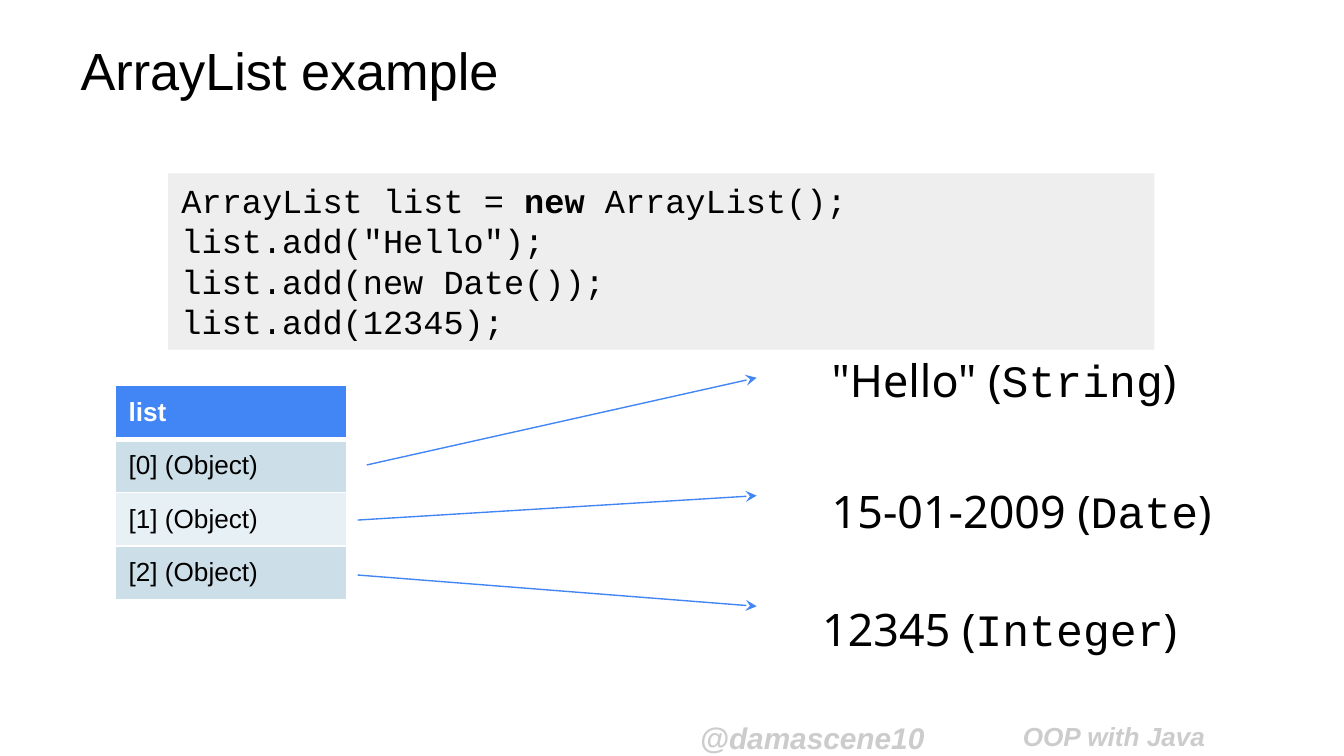
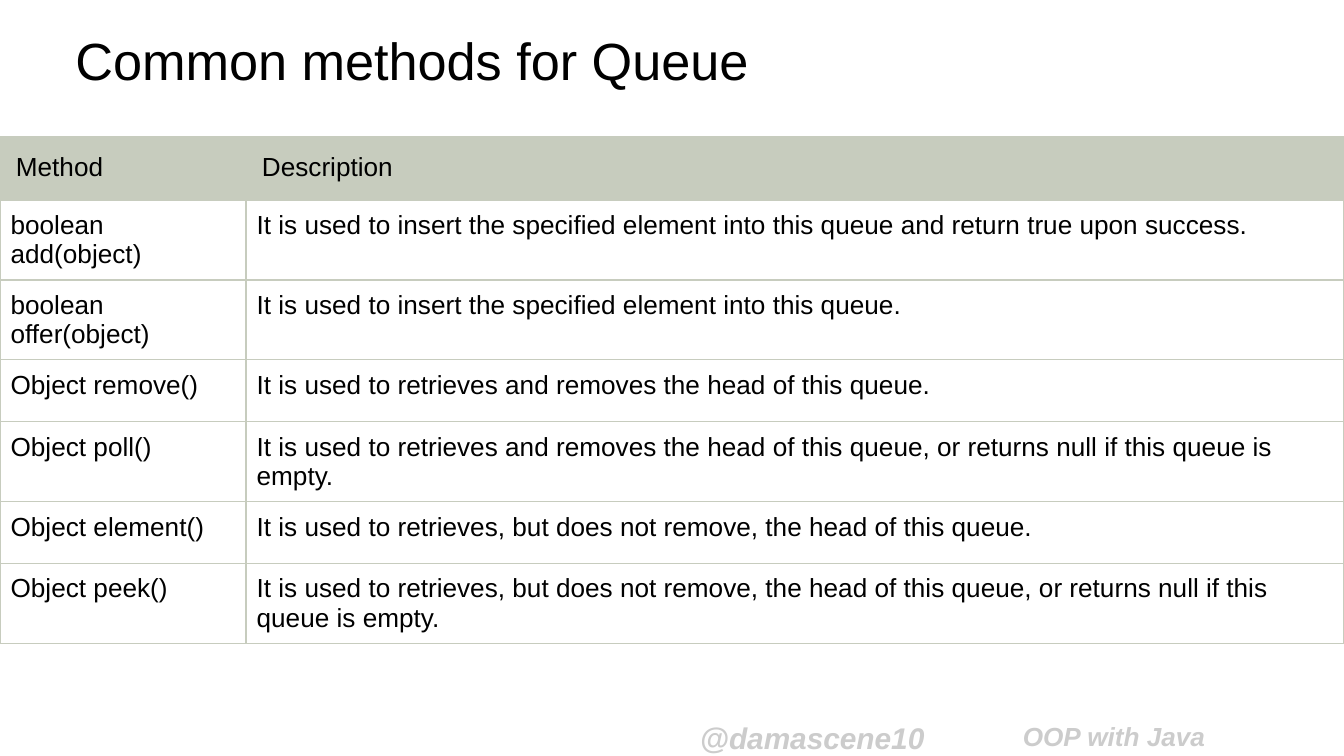
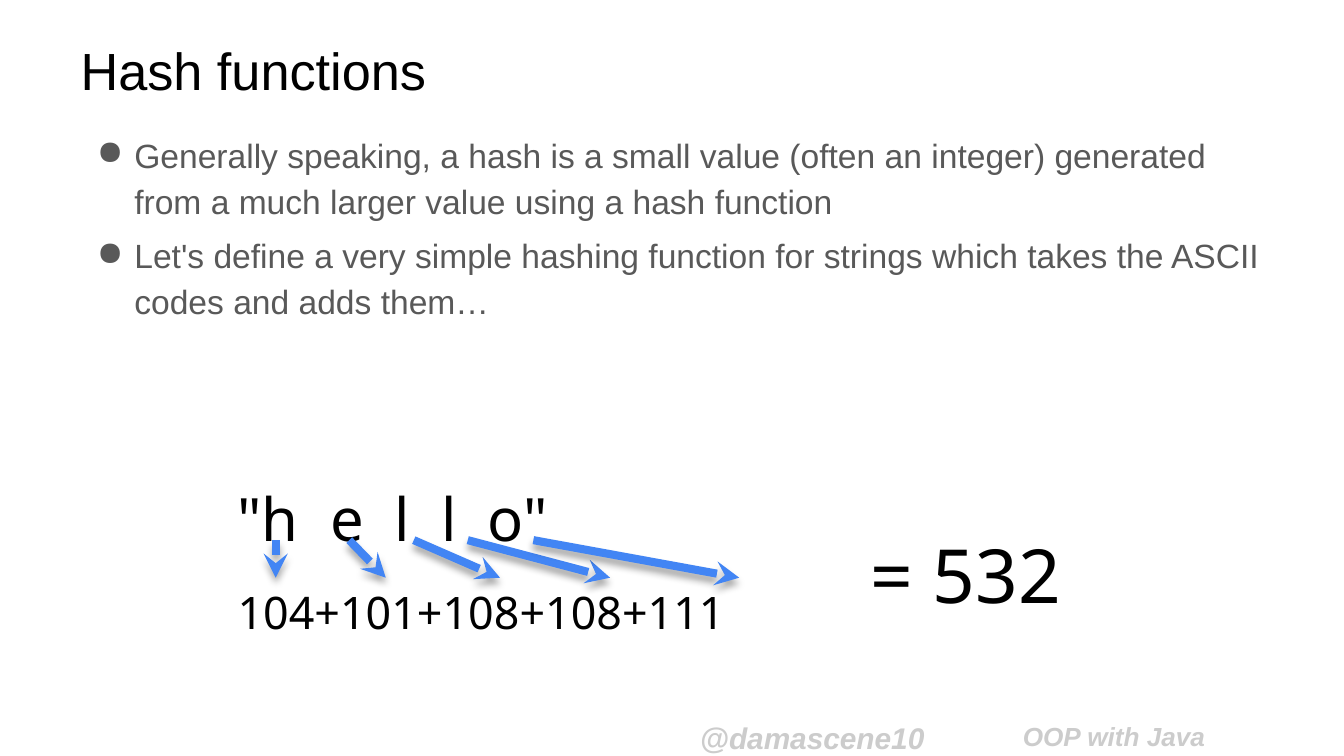
"""Build three slides on Java collections: ArrayList, Queue methods and hash functions."""
import lxml.etree
import pptx
import pptx.dml.color
import pptx.enum.shapes
import pptx.enum.text
import pptx.oxml.ns
import pptx.util

Cm = pptx.util.Cm
Pt = pptx.util.Pt
RGBColor = pptx.dml.color.RGBColor
qn = pptx.oxml.ns.qn
Anchor = pptx.enum.text.MSO_ANCHOR
AutoSize = pptx.enum.text.MSO_AUTO_SIZE

BLACK = RGBColor(0x00, 0x00, 0x00)
WHITE = RGBColor(0xFF, 0xFF, 0xFF)
BLUE = RGBColor(0x42, 0x85, 0xF4)
BODY_GRAY = RGBColor(0x59, 0x59, 0x59)
FOOTER_GRAY = RGBColor(0xCC, 0xCC, 0xCC)
CODE_GRAY = RGBColor(0xEE, 0xEE, 0xEE)
SAGE = RGBColor(0xC7, 0xCC, 0xBE)
BAND_DARK = RGBColor(0xCC, 0xDF, 0xE8)
BAND_LIGHT = RGBColor(0xE7, 0xF0, 0xF4)

SANS = "Arial"
MONO = "Courier New"
NOTO = "Noto Sans"


def add_xml(parent, tag, **attributes):
    return lxml.etree.SubElement(parent, qn(tag), attributes)


def add_color(parent, color, tag="a:solidFill"):
    return add_xml(add_xml(parent, tag), "a:srgbClr", val=str(color))


class Deck:
    """Shared style and the current slide."""

    def __init__(self):
        self.presentation = pptx.Presentation()
        self.presentation.slide_width = Cm(25.4)
        self.presentation.slide_height = Cm(14.29)
        self.slide = None

    def start_slide(self, heading, left=1.27, top=0.43, height=1.78):
        self.slide = self.presentation.slides.add_slide(self.presentation.slide_layouts[5])
        title = self.slide.shapes.title
        title.left, title.top, title.width, title.height = Cm(left), Cm(top), Cm(22.86), Cm(height)
        self.set_text(title.text_frame, [heading], 28)
        title.text_frame.vertical_anchor = Anchor.MIDDLE
        title.text_frame.auto_size = AutoSize.NONE

    def set_text(self, frame, lines, size, font=SANS, color=BLACK, bold=False, italic=False):
        """Fill a frame; a line is a string or a list of (text, changed font settings)."""
        frame.word_wrap = True
        frame.text = "\n".join(
            line if isinstance(line, str) else "" for line in lines)
        for paragraph, line in zip(frame.paragraphs, lines):
            paragraph.alignment = pptx.enum.text.PP_ALIGN.LEFT
            changes = [{}]
            if not isinstance(line, str):
                changes = [change for _, change in line]
                for text, _ in line:
                    paragraph.add_run().text = text
            for run, change in zip(paragraph.runs, changes):
                run.font.size = Pt(size)
                run.font.name = change.get("font", font)
                run.font.bold = change.get("bold", bold)
                run.font.italic = italic
                run.font.color.rgb = color

    def text(self, left, top, width, height, lines, size, font=NOTO, **style):
        box = self.slide.shapes.add_textbox(Cm(left), Cm(top), Cm(width), Cm(height))
        self.set_text(box.text_frame, lines, size, font, **style)
        return box

    def master_footer(self, left, label, size):
        footer = self.text(left, 13.36, 5.54, 0.84, [label], size, SANS,
                           color=FOOTER_GRAY, bold=True, italic=True)
        footer.text_frame.margin_top = footer.text_frame.margin_bottom = Cm(0.25)
        self.presentation.slide_master.shapes.element.append(footer.element)

    def code(self, left, top, width, height, lines):
        panel = self.slide.shapes.add_shape(pptx.enum.shapes.MSO_SHAPE.RECTANGLE,
                                            Cm(left), Cm(top), Cm(width), Cm(height))
        panel.shadow.inherit = False
        panel.fill.solid()
        panel.fill.fore_color.rgb = CODE_GRAY
        panel.line.fill.background()
        self.set_text(panel.text_frame, lines, 18, MONO)
        panel.text_frame.vertical_anchor = Anchor.TOP

    def bullets(self, left, top, width, height, lines):
        body = self.text(left, top, width, height, lines, 18, SANS, color=BODY_GRAY)
        for index, paragraph in enumerate(body.text_frame.paragraphs):
            paragraph.line_spacing = 1.15
            if index:
                paragraph.space_before = Pt(4)
            properties = paragraph._p.get_or_add_pPr()
            properties.set("marL", str(Cm(1.02)))
            properties.set("indent", str(Cm(-0.71)))
            add_color(properties, BODY_GRAY, "a:buClr")
            add_xml(properties, "a:buChar", char="●")

    def arrow(self, start, end, width, shadow=False):
        line = self.slide.shapes.add_connector(pptx.enum.shapes.MSO_CONNECTOR.STRAIGHT,
                                               *map(Cm, start + end))
        line.line.color.rgb = BLUE
        line.line.width = Pt(width)
        add_xml(line.line._get_or_add_ln(), "a:tailEnd", type="stealth")
        effects = add_xml(line.element.spPr, "a:effectLst")
        if shadow:
            outer = add_xml(effects, "a:outerShdw", blurRad=str(Pt(4)), dist=str(Pt(3)),
                            dir="5400000", rotWithShape="0")
            add_xml(add_xml(outer, "a:srgbClr", val=str(BLACK)), "a:alpha", val="35000")

    def table(self, left, top, columns, heights, rows):
        grid = self.slide.shapes.add_table(len(rows), len(columns), Cm(left), Cm(top),
                                           Cm(sum(columns)), Cm(sum(heights))).table
        grid.horz_banding = False
        for column, width in zip(grid.columns, columns):
            column.width = Cm(width)
        for row, height, labels in zip(grid.rows, heights, rows):
            row.height = Cm(height)
            for cell, label in zip(row.cells, labels):
                self.set_text(cell.text_frame, [label], 14)
        return grid

    def style_cell(self, cell, fill, border, widths, margins, anchor=Anchor.TOP):
        """Set fill, margins (sides, ends) and border widths (left, right, top, bottom)."""
        for side, width in zip("LRTB", widths):
            edge = add_xml(cell._tc.get_or_add_tcPr(), f"a:ln{side}", w=str(Pt(width)))
            add_color(edge, border)
        cell.fill.solid()
        cell.fill.fore_color.rgb = fill
        cell.margin_left = cell.margin_right = Cm(margins[0])
        cell.margin_top = cell.margin_bottom = Cm(margins[1])
        cell.vertical_anchor = anchor


def array_list_slide(deck):
    deck.start_slide("ArrayList example")
    deck.master_footer(12.98, "@damascene10", 16)
    deck.master_footer(19.08, "OOP with Java", 14)

    entries = [["list"]] + [[f"[{index}] (Object)"] for index in range(3)]
    array = deck.table(2.18, 7.29, [4.37], [1.01] * 4, entries)
    for row, fill in enumerate([BLUE, BAND_DARK, BAND_LIGHT, BAND_DARK]):
        widths = (1, 1, 3 if row == 1 else 1, 3 if row == 0 else 1)
        deck.style_cell(array.cell(row, 0), fill, WHITE, widths, (0.25, 0.1), Anchor.MIDDLE)
    header = array.cell(0, 0).text_frame.paragraphs[0].runs[0].font
    header.bold = True
    header.color.rgb = WHITE

    for start, end_y in [((6.93, 8.79), 7.14), ((6.76, 9.83), 9.37), ((6.76, 10.87), 11.46)]:
        deck.arrow(start, (14.3, end_y), 0.75)

    for left, top, value, kind in [(15.47, 6.55, '"Hello"', "String"),
                                   (15.47, 9.02, "15-01-2009", "Date"),
                                   (15.29, 11.25, "12345", "Integer")]:
        deck.text(left, top, 8.74, 1.27,
                  [[(f"{value} (", {}), (kind, {"font": MONO}), (")", {})]], 24)

    deck.code(3.18, 3.28, 18.64, 3.33, [
        [("ArrayList list = ", {}), ("new", {"bold": True}), (" ArrayList();", {})],
        'list.add("Hello");',
        "list.add(new Date());",
        "list.add(12345);",
    ])


def queue_slide(deck):
    deck.start_slide("Common methods for Queue", 1.17, 0.3, 1.65)
    rows = [
        ("Method", "Description"),
        ("boolean add(object)", "It is used to insert the specified element into this queue "
                                "and return true upon success."),
        ("boolean offer(object)", "It is used to insert the specified element into this queue."),
        ("Object remove()", "It is used to retrieves and removes the head of this queue."),
        ("Object poll()", "It is used to retrieves and removes the head of this queue, "
                          "or returns null if this queue is empty."),
        ("Object element()", "It is used to retrieves, but does not remove, "
                             "the head of this queue."),
        ("Object peek()", "It is used to retrieves, but does not remove, the head of this "
                          "queue, or returns null if this queue is empty."),
    ]
    methods = deck.table(0, 2.59, [4.65, 20.75], [1.19] + [1.17] * 6, rows)
    for index, row in enumerate(methods.rows):
        fill, margin = (WHITE, 0.2) if index else (SAGE, 0.3)
        for cell in row.cells:
            deck.style_cell(cell, fill, SAGE, [0.75] * 4, (margin, margin))


def hash_slide(deck):
    deck.start_slide("Hash functions")
    deck.bullets(1.27, 2.31, 22.86, 7.06, [
        "Generally speaking, a hash is a small value (often an integer) generated "
        "from a much larger value using a hash function",
        "Let's define a very simple hashing function for strings which takes "
        "the ASCII codes and adds them…",
    ])

    spaced = [(part, {}) for part in ['"h', " ", "e", " ", "l", " ", "l", " ", 'o"']]
    word = deck.text(4.24, 8.99, 6.96, 1.63, [spaced], 32)
    for gap in word.text_frame.paragraphs[0].runs[1::2]:
        gap.font._element.set("spc", "832")
    codes = "+".join(str(ord(letter)) for letter in "hello")
    deck.text(4.24, 10.92, 11.33, 1.27, [codes], 24)

    for letter_x, code_x in [(5.21, 5.21), (6.6, 7.29), (7.82, 9.45),
                             (8.84, 11.53), (10.08, 13.97)]:
        deck.arrow((letter_x, 10.21), (code_x, 10.92), 4.33, shadow=True)
    deck.text(16.21, 9.88, 4.8, 1.96, ["= 532"], 40)


def main():
    deck = Deck()
    array_list_slide(deck)
    queue_slide(deck)
    hash_slide(deck)
    deck.presentation.save("out.pptx")


if __name__ == "__main__":
    main()
